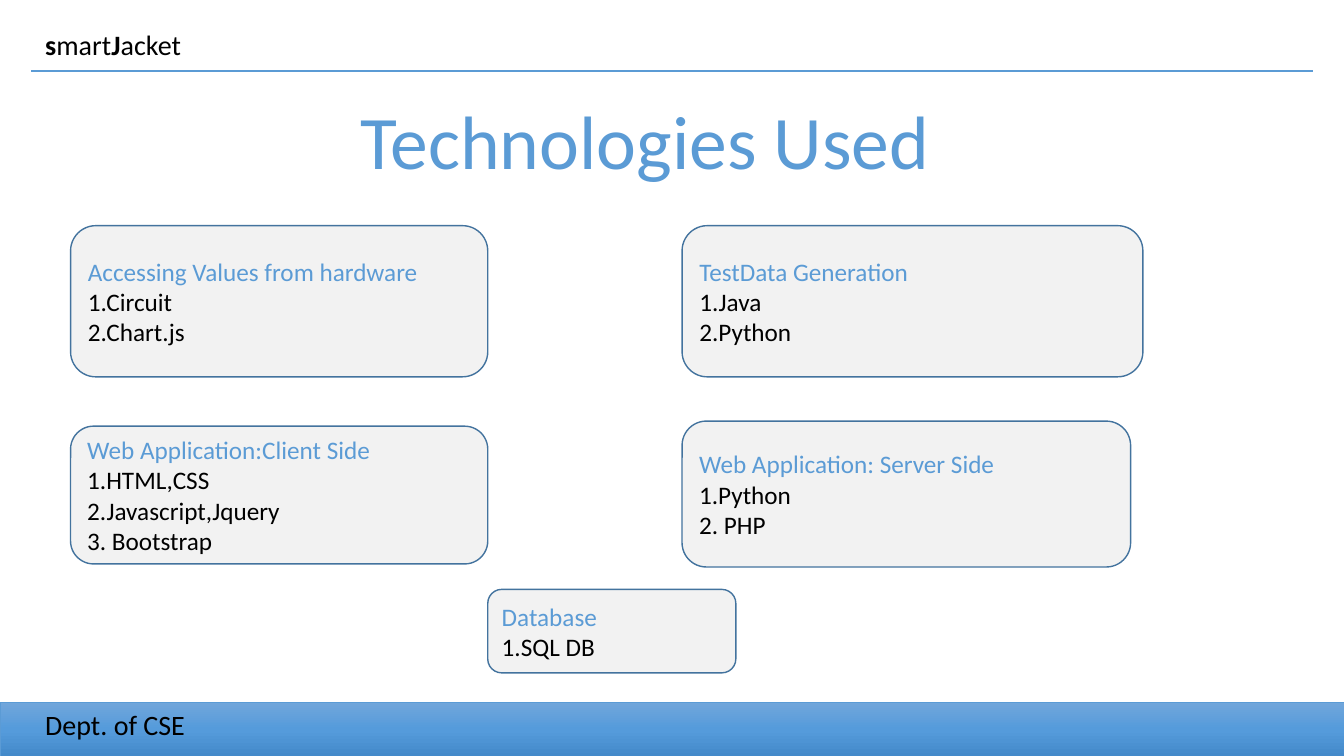
import copy
import pptx
import pptx.util
import pptx.dml.color
import pptx.enum.shapes
import pptx.enum.text
import pptx.oxml.ns

Pt = pptx.util.Pt
SHAPE = pptx.enum.shapes.MSO_SHAPE
ALIGN = pptx.enum.text.PP_ALIGN
ANCHOR = pptx.enum.text.MSO_ANCHOR
WIDE, HIGH = 960, 540
BLUE, BLACK, GREY, EDGE = "5B9BD5", "000000", "F2F2F2", "43739E"
SHADES = [(0, "71A6DB"), (0.5, "559BDB"), (1, "448ACA")]

CARDS = [
    ((50.4, 161.2, 298, 108), "Accessing Values from hardware",
     ["1.Circuit", "2.Chart.js"]),
    ((50.4, 304.4, 298, 98.4), "Web Application:Client Side",
     ["1.HTML,CSS", "2.Javascript,Jquery", "3. Bootstrap"]),
    ((487.2, 161.2, 329.2, 108), "TestData Generation",
     ["1.Java", "2.Python"]),
    ((348.4, 421, 177.2, 59.6), "Database", ["1.SQL DB"]),
    ((487.2, 300.8, 320.4, 104.2), "Web Application: Server Side",
     ["1.Python", "2. PHP"]),
]


def tint(code):
    """Turn a hex string into a colour."""
    return pptx.dml.color.RGBColor.from_string(code)


def style(item, form):
    """Set each format value on an item."""
    for name, value in form.items():
        setattr(item, name, value)


def write(para, text, size, code, bold=False):
    """Add one run of text to a paragraph."""
    run = para.add_run()
    run.text = text
    style(run.font, {"name": "Calibri", "size": Pt(size), "bold": bold})
    run.font.color.rgb = tint(code)


def label(slide, box, runs, size, code, align=ALIGN.LEFT, wrap=True):
    """Place a one-line text box made of (text, bold) runs."""
    frame = slide.shapes.add_textbox(*map(Pt, box)).text_frame
    style(frame, {"word_wrap": wrap})
    para = frame.paragraphs[0]
    para.alignment = align
    for text, bold in runs:
        write(para, text, size, code, bold)


def block(slide, kind, box, edge, width):
    """Place an outlined shape without a shadow."""
    shape = slide.shapes.add_shape(kind, *map(Pt, box))
    shape.shadow.inherit = False
    shape.line.color.rgb = tint(edge)
    shape.line.width = Pt(width)
    return shape


def header(slide, box):
    """Draw the project name and the rule below it."""
    left, top, width, height = box
    runs = [("s", True), ("mart", False), ("J", True), ("acket", False)]
    label(slide, (left + 3, top, 248.4, 55.4), runs, 20, BLACK)
    base = top + height
    rule = slide.shapes.add_connector(
        pptx.enum.shapes.MSO_CONNECTOR.STRAIGHT,
        Pt(left), Pt(base), Pt(left + width), Pt(base))
    rule.line.color.rgb = tint(BLUE)
    rule.line.width = Pt(1.5)
    props = rule._element.spPr
    props.append(props.makeelement(pptx.oxml.ns.qn("a:effectLst"), {}))


def footer(slide, box):
    """Draw the shaded band with the department name."""
    left, top, width, height = box
    band = block(slide, SHAPE.RECTANGLE, box, BLUE, 0.5)
    band.fill.gradient()
    band.fill.gradient_angle = 270
    stops = next(band._element.spPr.iter(pptx.oxml.ns.qn("a:gsLst")))
    stops.append(copy.deepcopy(stops[0]))
    for stop, (place, code) in zip(band.fill.gradient_stops, SHADES):
        stop.position = place
        stop.color.rgb = tint(code)
    label(slide, (left + 25.2, top, 218.9, 31.5),
          [("Dept. of CSE", False)], 20, BLACK)


def card(slide, box, head, lines):
    """Draw a rounded card with a heading and its list."""
    shape = block(slide, SHAPE.ROUNDED_RECTANGLE, box, EDGE, 1)
    shape.fill.solid()
    shape.fill.fore_color.rgb = tint(GREY)
    frame = shape.text_frame
    style(frame, {"word_wrap": True, "vertical_anchor": ANCHOR.MIDDLE})
    for row, text in enumerate([head] + lines):
        para = frame.add_paragraph() if row else frame.paragraphs[0]
        para.alignment = ALIGN.LEFT
        write(para, text, 18, BLACK if row else BLUE)


def main():
    """Build the slide and save it."""
    deck = pptx.Presentation()
    style(deck, {"slide_width": Pt(WIDE), "slide_height": Pt(HIGH)})
    slide = deck.slides.add_slide(deck.slide_layouts[6])
    header(slide, (22.2, 15.8, 915.8, 34.8))
    footer(slide, (0, 501.8, WIDE, HIGH - 501.8))
    label(slide, (248.4, 63.4, 424.8, 72.7), [("Technologies Used", False)],
          54, BLUE, ALIGN.CENTER, False)
    for box, head, lines in CARDS:
        card(slide, box, head, lines)
    deck.save("out.pptx")


if __name__ == "__main__":
    main()
